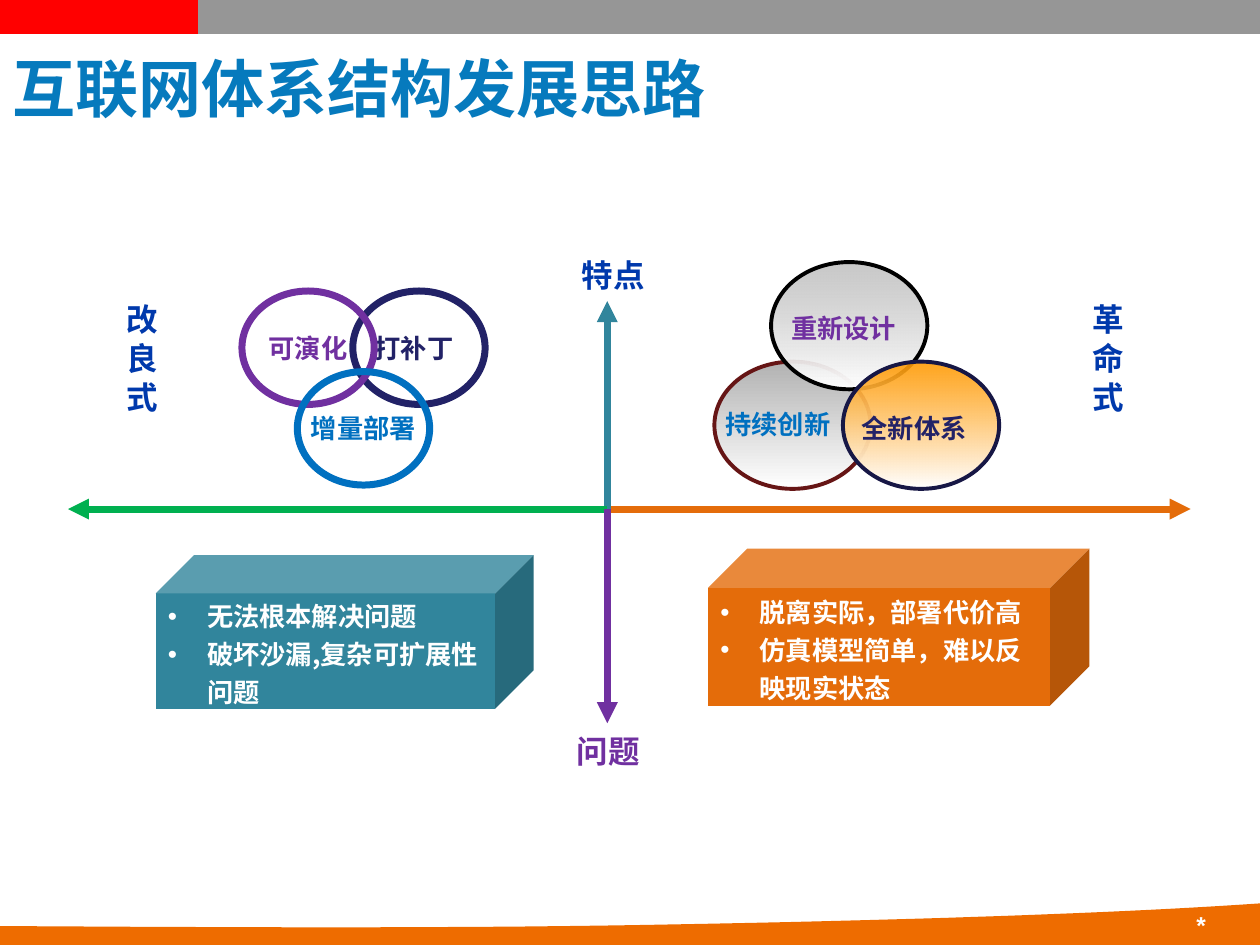
from pptx import Presentation
from pptx.dml.color import RGBColor
from pptx.enum.dml import MSO_LINE
from pptx.enum.shapes import MSO_CONNECTOR, MSO_SHAPE
from pptx.enum.text import MSO_ANCHOR, MSO_AUTO_SIZE, PP_ALIGN
from pptx.oxml.ns import qn
from pptx.util import Inches, Pt
from lxml.etree import SubElement

WHITE = RGBColor(0xFF, 0xFF, 0xFF)
BLACK = RGBColor(0x00, 0x00, 0x00)
GRAY = RGBColor(0x96, 0x96, 0x96)
SILVER = RGBColor(0xB2, 0xB2, 0xB2)
RED = RGBColor(0xFF, 0x00, 0x00)
MAROON = RGBColor(0x66, 0x15, 0x15)
FOOTER_ORANGE = RGBColor(0xEE, 0x6C, 0x00)
ORANGE = RGBColor(0xE4, 0x6C, 0x0A)
AMBER = RGBColor(0xFF, 0x99, 0x00)
TEAL = RGBColor(0x31, 0x85, 0x9C)
GREEN = RGBColor(0x00, 0xB0, 0x50)
PURPLE = RGBColor(0x70, 0x30, 0xA0)
TITLE_BLUE = RGBColor(0x06, 0x7A, 0xBD)
LABEL_BLUE = RGBColor(0x00, 0x39, 0xAC)
BLUE = RGBColor(0x00, 0x70, 0xC0)
NAVY = RGBColor(0x22, 0x22, 0x67)
MIDNIGHT = RGBColor(0x17, 0x17, 0x45)

COLUMNS, ROWS = 100, 75
CHINESE, LATIN = "Noto Sans CJK SC", "Arial"


class SlidePainter:
    def __init__(self, deck):
        self.page = deck.slides.add_slide(deck.slide_layouts[5])
        self.column = deck.slide_width / COLUMNS
        self.row = deck.slide_height / ROWS

    def place(self, left, top, width, height):
        return (round(left * self.column), round(top * self.row),
                round(width * self.column), round(height * self.row))

    def fill_text(self, shape, lines, size, color, font=CHINESE, **frame_format):
        frame = shape.text_frame
        align = frame_format.pop("align", PP_ALIGN.LEFT)
        settings = {"word_wrap": True, "auto_size": MSO_AUTO_SIZE.NONE, **frame_format}
        for name, value in settings.items():
            setattr(frame, name, value)
        for index, line in enumerate(lines):
            para = frame.paragraphs[0] if index == 0 else frame.add_paragraph()
            para.alignment = align
            span = para.add_run()
            span.text = line
            for name, value in {"name": font, "size": Pt(size), "bold": True}.items():
                setattr(span.font, name, value)
            span.font.color.rgb = color
            SubElement(span.font._element, qn("a:ea"), typeface=CHINESE)
        return frame

    def title(self, text, area):
        box = self.page.shapes.title
        box.left, box.top, box.width, box.height = self.place(*area)
        self.fill_text(box, [text], 36, TITLE_BLUE, LATIN,
                       vertical_anchor=MSO_ANCHOR.MIDDLE)

    def label(self, text, area, size, color, vertical=False, **style):
        box = self.page.shapes.add_textbox(*self.place(*area))
        frame = self.fill_text(box, [text], size, color, **style)
        if vertical:
            frame._txBody.bodyPr.set("vert", "eaVert")

    def line(self, start, end, color, width, arrow=False):
        begin_x, begin_y, end_x, end_y = self.place(*start, *end)
        connector = self.page.shapes.add_connector(
            MSO_CONNECTOR.STRAIGHT, begin_x, begin_y, end_x, end_y)
        connector.line.color.rgb = color
        connector.line.width = Pt(width)
        connector.line.dash_style = MSO_LINE.SOLID
        if arrow:
            SubElement(connector.line._get_or_add_ln(), qn("a:headEnd"), type="triangle")
        SubElement(connector._element.spPr, qn("a:effectLst"))

    def shape(self, kind, area):
        shape = self.page.shapes.add_shape(kind, *self.place(*area))
        shape.shadow.inherit = False
        return shape

    def cube(self, area, color, points):
        cube = self.shape(MSO_SHAPE.CUBE, area)
        cube.fill.solid()
        cube.fill.fore_color.rgb = color
        cube.line.fill.background()
        frame = self.fill_text(cube, points, 15, WHITE, vertical_anchor=MSO_ANCHOR.MIDDLE)
        for para in frame.paragraphs:
            para.line_spacing = 1.2
            indent = Inches(0.31)
            properties = para._p.get_or_add_pPr()
            properties.set("marL", str(indent))
            properties.set("indent", str(-indent))
            SubElement(properties, qn("a:buFont"), typeface=LATIN)
            SubElement(properties, qn("a:buChar"), char="•")

    def oval(self, area, color, width):
        oval = self.shape(MSO_SHAPE.OVAL, area)
        oval.fill.background()
        oval.line.color.rgb = color
        oval.line.width = Pt(width)
        return oval

    def ring(self, text, area, color, align):
        ring = self.oval(area, color, 4)
        self.fill_text(ring, [text], 15, color, align=align, word_wrap=False,
                       margin_left=0 if align == PP_ALIGN.RIGHT else Inches(0.1),
                       vertical_anchor=MSO_ANCHOR.MIDDLE)

    def disc(self, area, color, outline, opacity):
        disc = self.oval(area, outline, 2.25)
        disc.fill.gradient()
        disc.fill.gradient_angle = 270
        for stop, stop_color in zip(disc.fill.gradient_stops, (color, WHITE)):
            stop.color.rgb = stop_color
        first = next(disc._element.iter(qn("a:srgbClr")))
        SubElement(first, qn("a:alpha"), val=str(opacity * 1000))

    def wave(self, curves, color, steps=24):
        points = [curves[0][0]]
        for curve in curves:
            for step in range(1, steps + 1):
                t = step / steps
                weights = ((1 - t) ** 3, 3 * t * (1 - t) ** 2, 3 * t * t * (1 - t), t ** 3)
                points.append(tuple(sum(weight * point[axis] for weight, point
                                        in zip(weights, curve)) for axis in (0, 1)))
        points += [(COLUMNS, ROWS), (0, ROWS)]
        corners = [(x * self.column, y * self.row) for x, y in points]
        builder = self.page.shapes.build_freeform(*corners[0])
        builder.add_line_segments(corners[1:], close=True)
        wave = builder.convert_to_shape()
        wave.shadow.inherit = False
        wave.fill.solid()
        wave.fill.fore_color.rgb = color
        wave.line.fill.background()


def main():
    deck = Presentation()
    deck.slide_width, deck.slide_height = Inches(10), Inches(7.5)
    painter = SlidePainter(deck)

    painter.line((0, 1.35), (COLUMNS, 1.35), GRAY, 20)
    painter.wave([((0, 73.5), (17.6, 73.6), (35.2, 73.7), (51.9, 73.4)),
                  ((51.9, 73.4), (68.6, 73.1), (87, 72.6), (100, 71.7))], FOOTER_ORANGE)
    painter.label("*", (90, 71.7, 6.7, 3.3), 14, WHITE, font=LATIN, align=PP_ALIGN.RIGHT)
    painter.line((0, 1.35), (15.7, 1.35), RED, 20)
    painter.title("互联网体系结构发展思路", (0, 3.2, 97.5, 7.4))

    painter.cube((12.35, 44.05, 30, 12.2), TEAL,
                 ["无法根本解决问题", "破坏沙漏,复杂可扩展性问题"])
    painter.cube((56.2, 43.55, 30.25, 12.45), ORANGE,
                 ["脱离实际，部署代价高", "仿真模型简单，难以反映现实状态"])

    center_x, center_y = 48.2, 40.4
    for tip, color in [((94.5, center_y), ORANGE), ((center_x, 23.9), TEAL),
                       ((5.4, center_y), GREEN), ((center_x, 57.4), PURPLE)]:
        painter.line(tip, (center_x, center_y), color, 4, arrow=True)

    painter.label("特点", (45.2, 19.8, 7.7, 4), 18, LABEL_BLUE)
    painter.label("问题", (44.8, 57.6, 7.7, 4), 18, PURPLE)
    for text, left in [("改 良 式", 8.2), ("革 命 式", 84.9)]:
        painter.label(text, (left, 23.1, 5, 14.9), 18, LABEL_BLUE, vertical=True)

    for left, top, color, outline, opacity in [
            (56.7, 28.7, SILVER, MAROON, 100),
            (61.2, 20.8, SILVER, BLACK, 70),
            (66.9, 28.7, AMBER, MIDNIGHT, 89)]:
        painter.disc((left, top, 12.4, 10.1), color, outline, opacity)
    for text, left, top, color in [("重新设计", 61.7, 24.3, PURPLE),
                                   ("持续创新", 56.5, 31.9, BLUE),
                                   ("全新体系", 67.3, 32.2, NAVY)]:
        painter.label(text, (left, top, 10.4, 3.5), 15, color,
                      align=PP_ALIGN.RIGHT, word_wrap=False)

    for text, left, top, color, align in [
            ("打补丁", 28, 23.1, NAVY, PP_ALIGN.RIGHT),
            ("可演化", 19.2, 23.1, PURPLE, PP_ALIGN.CENTER),
            ("增量部署", 23.6, 29.5, BLUE, PP_ALIGN.CENTER)]:
        painter.ring(text, (left, top, 10.5, 9), color, align)

    deck.save("out.pptx")


if __name__ == "__main__":
    main()
